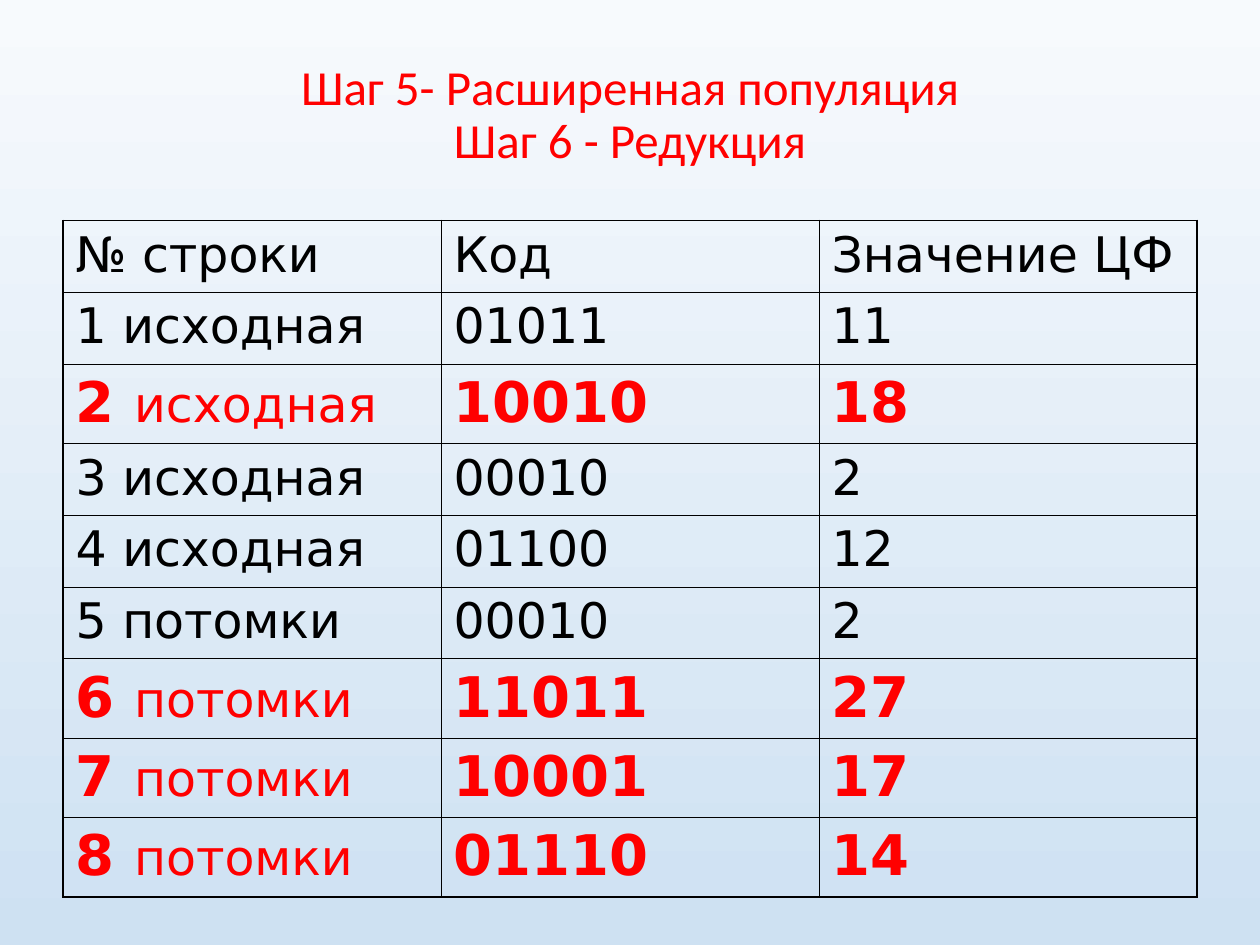
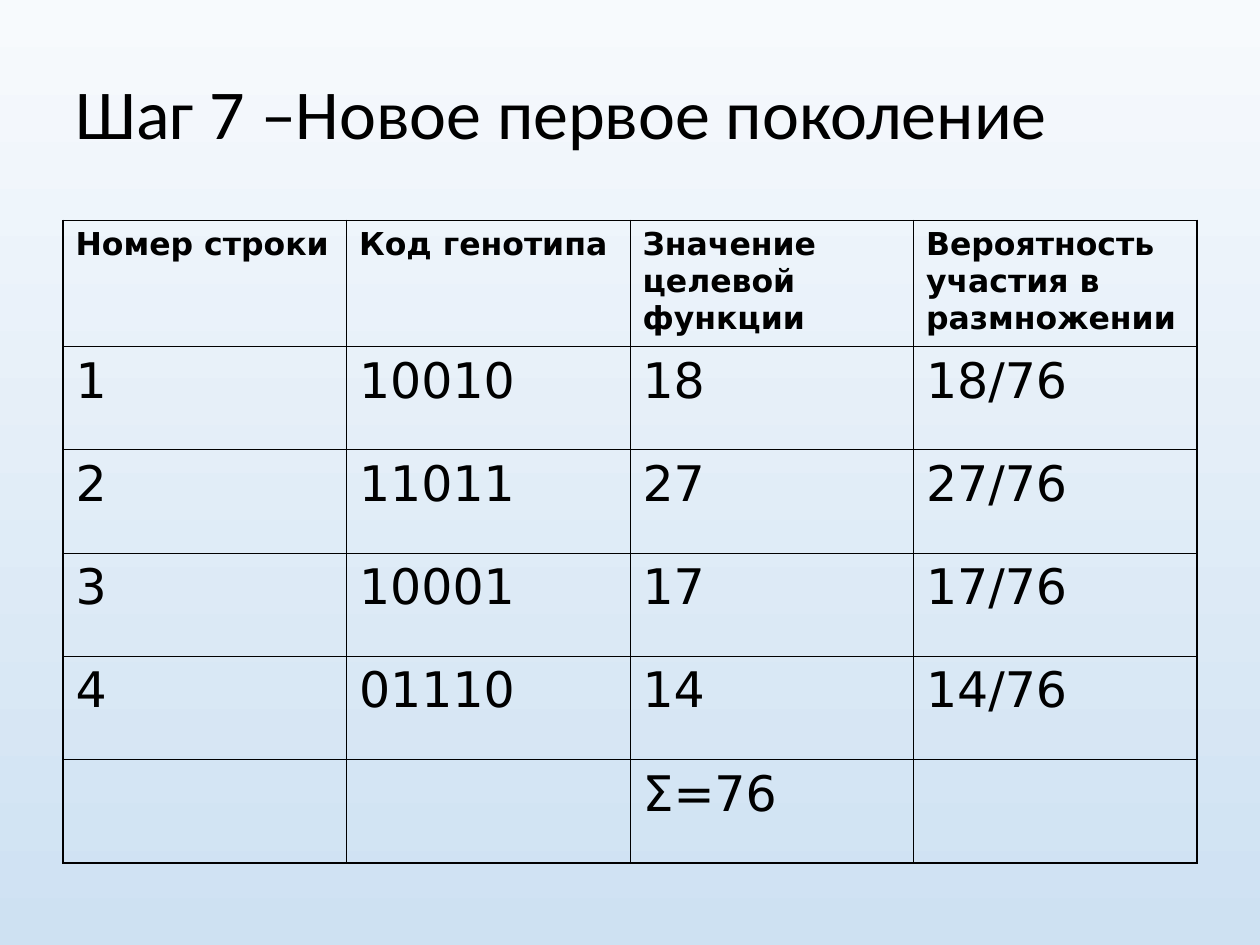
from lxml import etree
from pptx import Presentation
from pptx.dml import color
from pptx.enum import text
from pptx.oxml import ns
from pptx.util import Inches, Pt

COLORS = {"ink": "000000", "selected": "FF0000", "sky_top": "F7FAFD", "sky_bottom": "CEE1F2"}
TITLE_FONT, TABLE_FONT = "Calibri", "DejaVu Sans"
OUTER, INNER = Pt(1.08), Pt(0.45)


def write(paragraph, content, size=28, ink="ink", bold=False, font=TABLE_FONT):
    for number, line in enumerate(content.split("\n")):
        if number:
            paragraph.add_line_break()
        run = paragraph.add_run()
        run.text = line
        run.font.name = font
        run.font.size = Pt(size)
        run.font.bold = bold
        run.font.color.rgb = color.RGBColor.from_string(COLORS[ink])


def draw_borders(cell, widths):
    properties = cell._tc.get_or_add_tcPr()
    for side, width in widths.items():
        line = etree.SubElement(properties, ns.qn(f"a:ln{side}"), w=str(width))
        fill = etree.SubElement(line, ns.qn("a:solidFill"))
        etree.SubElement(fill, ns.qn("a:srgbClr"), val=COLORS["ink"])


prs = Presentation()
prs.slide_width, prs.slide_height = Inches(10), Inches(7.5)

sky = prs.slide_master.background.fill
sky.gradient()
sky.gradient_angle = 270
for stop, (position, shade) in zip(sky.gradient_stops, [(0, "sky_top"), (1, "sky_bottom")]):
    stop.position = position
    stop.color.rgb = color.RGBColor.from_string(COLORS[shade])

steps = [
    {
        "heading": "Шаг 5- Расширенная популяция\nШаг 6 - Редукция",
        "heading_format": {"size": 28, "ink": "selected"},
        "align": text.PP_ALIGN.CENTER,
        "header_format": {"size": 28},
        "heights": [0.57, 0.57, 0.63, 0.57, 0.57, 0.57, 0.63, 0.63, 0.63],
        "selected": {2, 6, 7, 8},
        "rows": [
            ["№ строки", "Код", "Значение ЦФ"],
            ["1 исходная", "01011", "11"],
            ["2 исходная", "10010", "18"],
            ["3 исходная", "00010", "2"],
            ["4 исходная", "01100", "12"],
            ["5 потомки", "00010", "2"],
            ["6 потомки", "11011", "27"],
            ["7 потомки", "10001", "17"],
            ["8 потомки", "01110", "14"],
        ],
    },
    {
        "heading": "Шаг 7 –Новое первое поколение",
        "heading_format": {"size": 40},
        "align": text.PP_ALIGN.LEFT,
        "header_format": {"size": 18, "bold": True},
        "heights": [1] + [0.82] * 5,
        "selected": set(),
        "rows": [
            ["Номер строки", "Код генотипа", "Значение целевой функции",
             "Вероятность участия в размножении"],
            ["1", "10010", "18", "18/76"],
            ["2", "11011", "27", "27/76"],
            ["3", "10001", "17", "17/76"],
            ["4", "01110", "14", "14/76"],
            ["", "", "Σ=76", ""],
        ],
    },
]

for step in steps:
    slide = prs.slides.add_slide(prs.slide_layouts[5])
    heading = slide.shapes.title
    heading.left, heading.top = Inches(0.5), Inches(0.3)
    heading.width, heading.height = Inches(9), Inches(1.25)
    heading.text_frame.auto_size = text.MSO_AUTO_SIZE.NONE
    heading.text_frame.vertical_anchor = text.MSO_ANCHOR.MIDDLE
    heading_line = heading.text_frame.paragraphs[0]
    heading_line.alignment = step["align"]
    heading_line.line_spacing = 0.9
    write(heading_line, step["heading"], font=TITLE_FONT, **step["heading_format"])

    rows, heights = step["rows"], step["heights"]
    last_row, last_col = len(rows) - 1, len(rows[0]) - 1
    population = slide.shapes.add_table(
        len(rows), len(rows[0]), Inches(0.5), Inches(1.75), Inches(9), Inches(sum(heights))
    ).table
    population.first_row = population.horz_banding = False

    for r, (values, height) in enumerate(zip(rows, heights)):
        population.rows[r].height = Inches(height)
        for c, value in enumerate(values):
            cell = population.cell(r, c)
            draw_borders(cell, {
                "L": OUTER if c == 0 else INNER,
                "R": OUTER if c == last_col else INNER,
                "T": OUTER if r == 0 else INNER,
                "B": OUTER if r == last_row else INNER,
            })
            cell.fill.background()
            if not value:
                continue
            paragraph = cell.text_frame.paragraphs[0]
            paragraph.space_before = Pt(7)
            if r == 0:
                header_format = step["header_format"]
                paragraph.space_before = Pt(header_format["size"] / 4)
                write(paragraph, value, **header_format)
            elif r not in step["selected"]:
                write(paragraph, value)
            elif c == 0:
                number, origin = value.split(" ")
                write(paragraph, number + " ", size=32, ink="selected", bold=True)
                write(paragraph, origin, ink="selected")
            else:
                paragraph.space_before = Pt(8)
                write(paragraph, value, size=32, ink="selected", bold=True)

prs.save("out.pptx")
